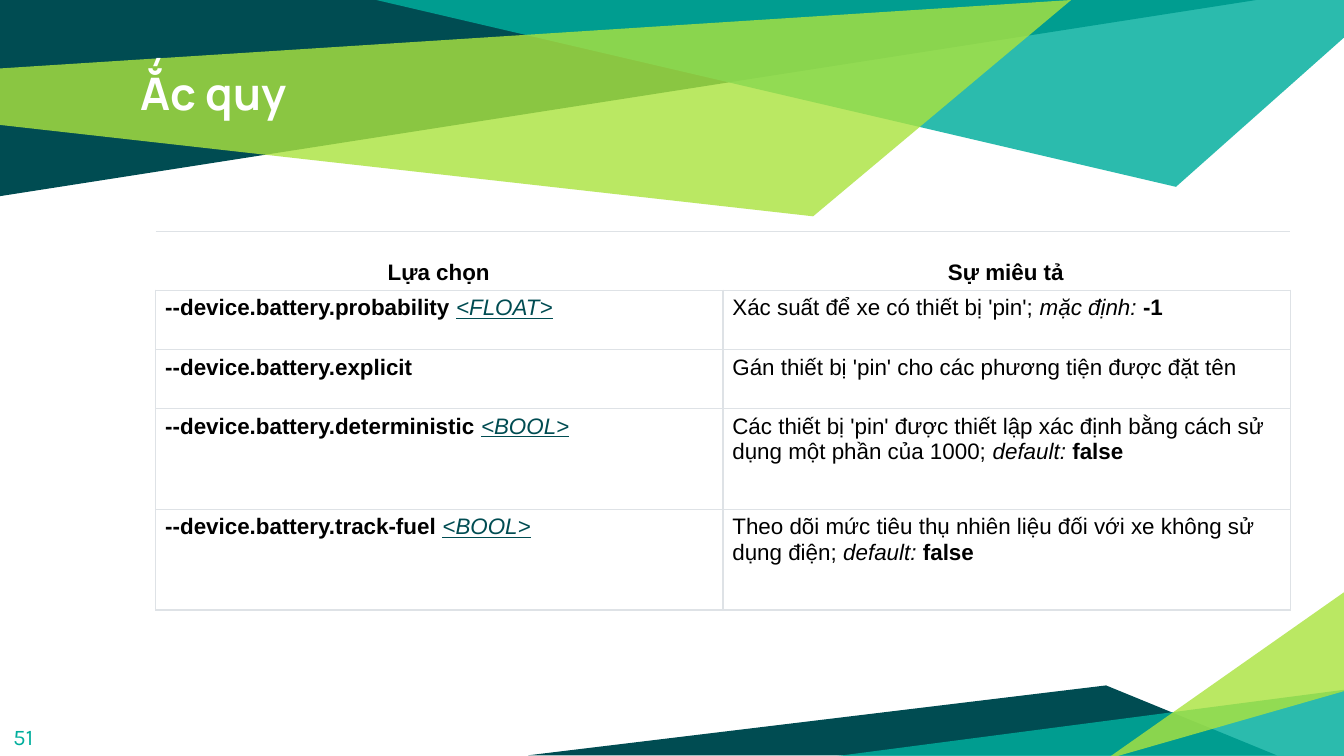
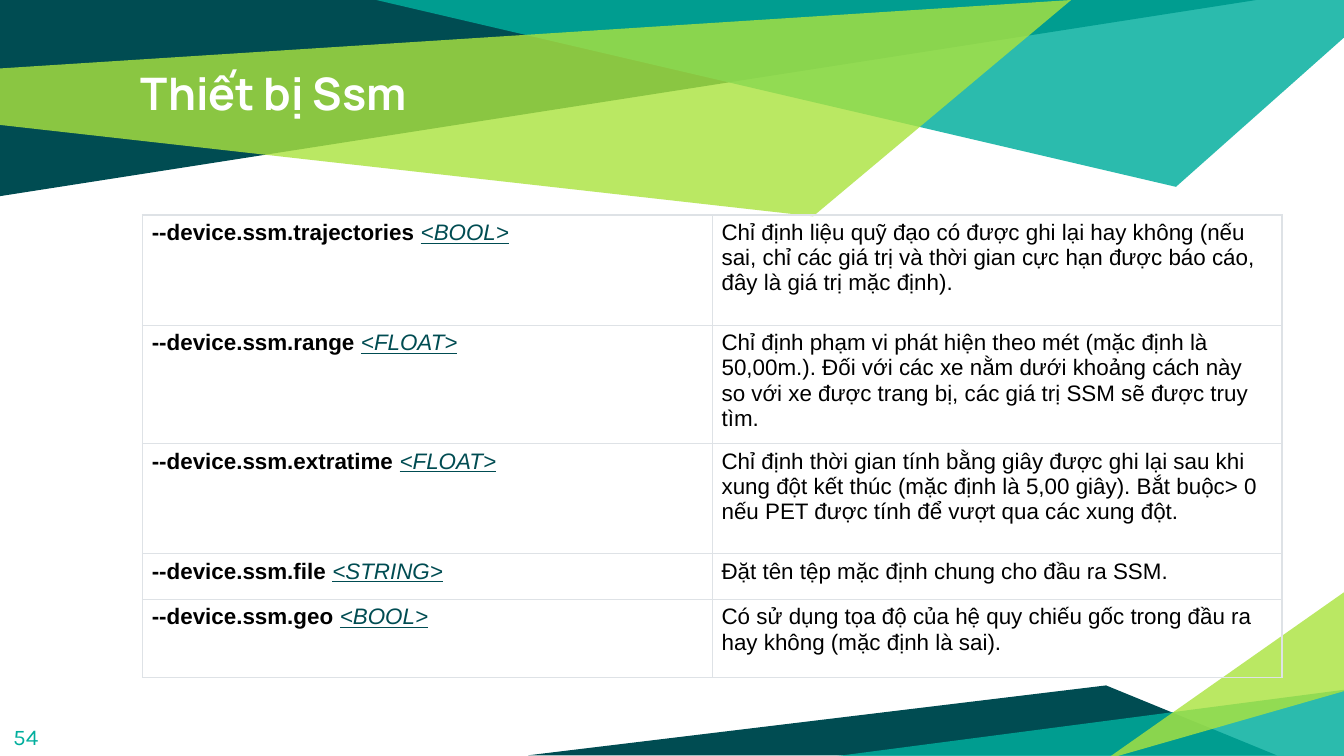
from dataclasses import dataclass
from enum import Enum

from lxml.etree import SubElement
from pptx import Presentation
from pptx.dml.color import RGBColor
from pptx.enum.text import MSO_ANCHOR, PP_ALIGN
from pptx.oxml import parse_xml
from pptx.oxml.ns import nsdecls, qn
from pptx.util import Inches, Pt


@dataclass(frozen=True)
class Theme:
    dark: str = "004C52"
    teal: str = "00AE9D"
    lime: str = "ABE33F"
    white: str = "FFFFFF"
    ink: str = "000000"
    rule: str = "DEE2E6"
    title_font: str = "Manrope"
    number_font: str = "Karla"
    body_font: str = "Arial"
    title_size: int = 24
    body_size: int = 12
    rule_width: float = 0.75


THEME = Theme()


@dataclass(frozen=True)
class Style:
    font: str
    size: int
    color: str
    bold: bool = False
    italic: bool = False
    underline: bool = False


class Styles(Enum):
    TITLE = Style(THEME.title_font, THEME.title_size, THEME.white, bold=True)
    NUMBER = Style(THEME.number_font, THEME.body_size, THEME.teal)
    PLAIN = Style(THEME.body_font, THEME.body_size, THEME.ink)
    BOLD = Style(THEME.body_font, THEME.body_size, THEME.ink, bold=True)
    ITALIC = Style(THEME.body_font, THEME.body_size, THEME.ink, italic=True)
    TYPE = Style(THEME.body_font, THEME.body_size, THEME.dark, italic=True, underline=True)


@dataclass(frozen=True)
class Band:
    color: str
    opacity: int
    points: tuple[tuple[float, float], ...]


@dataclass(frozen=True)
class Option:
    name: str
    type: str
    text: str
    default_label: str = ""
    default: str = ""


@dataclass(frozen=True)
class OptionSlide:
    title: str
    number: int
    left: float
    top: float
    col_width: float
    row_heights: tuple[float, ...]
    options: tuple[Option, ...]
    header: tuple[str, ...] = ()


BANDS = (
    Band(THEME.dark, 100, ((0, 0), (0, 1.46), (9.35, 0))),
    Band(THEME.teal, 83, ((2.8, 0), (8.75, 1.39), (10, 0.28), (10, 0))),
    Band(THEME.lime, 81, ((-0.01, 0.51), (0, 0.93), (6.05, 1.61), (7.97, 0))),
    Band(THEME.dark, 100, ((3.93, 5.62), (9.5, 5.62), (8.23, 5.1))),
    Band(THEME.teal, 83, ((10.02, 5.13), (10.02, 5.65), (6.04, 5.65))),
    Band(THEME.lime, 81, ((10.01, 5.14), (10.01, 4.4), (8.23, 5.65))),
)

SLIDES = (
    OptionSlide(
        "Ắc quy", 51, 1.16, 1.72, 4.22, (0.44, 0.44, 0.44, 0.75, 0.75),
        (
            Option("--device.battery.probability", "<FLOAT>",
                   "Xác suất để xe có thiết bị 'pin'; ", "mặc định: ", "-1"),
            Option("--device.battery.explicit", "",
                   "Gán thiết bị 'pin' cho các phương tiện được đặt tên"),
            Option("--device.battery.deterministic", "<BOOL>",
                   "Các thiết bị 'pin' được thiết lập xác định bằng cách sử dụng "
                   "một phần của 1000; ", "default: ", "false"),
            Option("--device.battery.track-fuel", "<BOOL>",
                   "Theo dõi mức tiêu thụ nhiên liệu đối với xe không sử dụng điện; ",
                   "default: ", "false"),
        ),
        header=("Lựa chọn", "Sự miêu tả"),
    ),
    OptionSlide(
        "Thiết bị Ssm", 54, 1.06, 1.6, 4.24, (0.82, 0.82, 0.82, 0.34, 0.58),
        (
            Option("--device.ssm.trajectories", "<BOOL>",
                   "Chỉ định liệu quỹ đạo có được ghi lại hay không (nếu sai, chỉ các "
                   "giá trị và thời gian cực hạn được báo cáo, đây là giá trị mặc định)."),
            Option("--device.ssm.range", "<FLOAT>",
                   "Chỉ định phạm vi phát hiện theo mét (mặc định là 50,00m.). Đối với "
                   "các xe nằm dưới khoảng cách này so với xe được trang bị, các giá trị "
                   "SSM sẽ được truy tìm."),
            Option("--device.ssm.extratime", "<FLOAT>",
                   "Chỉ định thời gian tính bằng giây được ghi lại sau khi xung đột kết "
                   "thúc (mặc định là 5,00 giây). Bắt buộc> 0 nếu PET được tính để vượt "
                   "qua các xung đột."),
            Option("--device.ssm.file", "<STRING>",
                   "Đặt tên tệp mặc định chung cho đầu ra SSM."),
            Option("--device.ssm.geo", "<BOOL>",
                   "Có sử dụng tọa độ của hệ quy chiếu gốc trong đầu ra hay không "
                   "(mặc định là sai)."),
        ),
    ),
)


def add_run(p, text: str, style: Styles) -> None:
    look = style.value
    r = p.add_run()
    r.text = text
    r.font.name = look.font
    r.font.size = Pt(look.size)
    r.font.color.rgb = RGBColor.from_string(look.color)
    r.font.bold = look.bold
    r.font.italic = look.italic
    r.font.underline = look.underline


def add_text(s, box: tuple[float, float, float, float], text: str, style: Styles) -> None:
    tf = s.shapes.add_textbox(*map(Inches, box)).text_frame
    tf.word_wrap = True
    tf.margin_left = tf.margin_right = tf.margin_top = tf.margin_bottom = Inches(0.1)
    add_run(tf.paragraphs[0], text, style)


def add_band(s, band: Band) -> None:
    start, *rest = [(Inches(x), Inches(y)) for x, y in band.points]
    builder = s.shapes.build_freeform(*start)
    builder.add_line_segments(rest, close=True)
    sp = builder.convert_to_shape()
    sp.shadow.inherit = False
    sp.fill.solid()
    sp.fill.fore_color.rgb = RGBColor.from_string(band.color)
    sp.line.fill.background()
    if band.opacity < 100:
        color = sp.fill._xPr.find(qn("a:solidFill"))[0]
        SubElement(color, qn("a:alpha")).set("val", str(band.opacity * 1000))


def set_borders(cell, visible: str) -> None:
    tc_pr = cell._tc.get_or_add_tcPr()
    for i, side in enumerate("LRTB"):
        paint = "<a:noFill/>"
        if side in visible:
            paint = f'<a:solidFill><a:srgbClr val="{THEME.rule}"/></a:solidFill>'
        tc_pr.insert(i, parse_xml(
            f'<a:ln{side} {nsdecls("a")} w="{Pt(THEME.rule_width)}">{paint}</a:ln{side}>'))


def fill_cell(cell, runs: list[tuple[str, Styles]], header: bool = False) -> None:
    cell.fill.background()
    cell.margin_left = Inches(0.07)
    cell.margin_right = Inches(0.08)
    cell.margin_top = cell.margin_bottom = Inches(0.04)
    cell.vertical_anchor = MSO_ANCHOR.BOTTOM if header else MSO_ANCHOR.TOP
    p = cell.text_frame.paragraphs[0]
    p.alignment = PP_ALIGN.CENTER if header else PP_ALIGN.LEFT
    for text, style in runs:
        if text:
            add_run(p, text, style)
    set_borders(cell, "TB" if header else "LRTB")


def add_options(s, page: OptionSlide) -> None:
    heights = page.row_heights
    table = s.shapes.add_table(
        len(heights), 2, Inches(page.left), Inches(page.top),
        Inches(2 * page.col_width), Inches(sum(heights))).table
    table.first_row = table.horz_banding = False
    for column in table.columns:
        column.width = Inches(page.col_width)
    for row, height in zip(table.rows, heights):
        row.height = Inches(height)
    for i, label in enumerate(page.header):
        fill_cell(table.cell(0, i), [(label, Styles.BOLD)], header=True)
    for i, option in enumerate(page.options, start=1 if page.header else 0):
        gap = " " if option.type else ""
        fill_cell(table.cell(i, 0), [(option.name + gap, Styles.BOLD),
                                     (option.type, Styles.TYPE)])
        fill_cell(table.cell(i, 1), [(option.text, Styles.PLAIN),
                                     (option.default_label, Styles.ITALIC),
                                     (option.default, Styles.BOLD)])


def add_page(prs, page: OptionSlide) -> None:
    s = prs.slides.add_slide(prs.slide_layouts[6])
    for band in BANDS:
        add_band(s, band)
    add_text(s, (0.95, 0.39, 8.06, 0.94), page.title, Styles.TITLE)
    add_text(s, (0, 5.28, 0.6, 0.43), str(page.number), Styles.NUMBER)
    add_options(s, page)


def main() -> None:
    prs = Presentation()
    prs.slide_width = Inches(10)
    prs.slide_height = Inches(10 * 9 / 16)
    for page in SLIDES:
        add_page(prs, page)
    prs.save("out.pptx")


if __name__ == "__main__":
    main()
